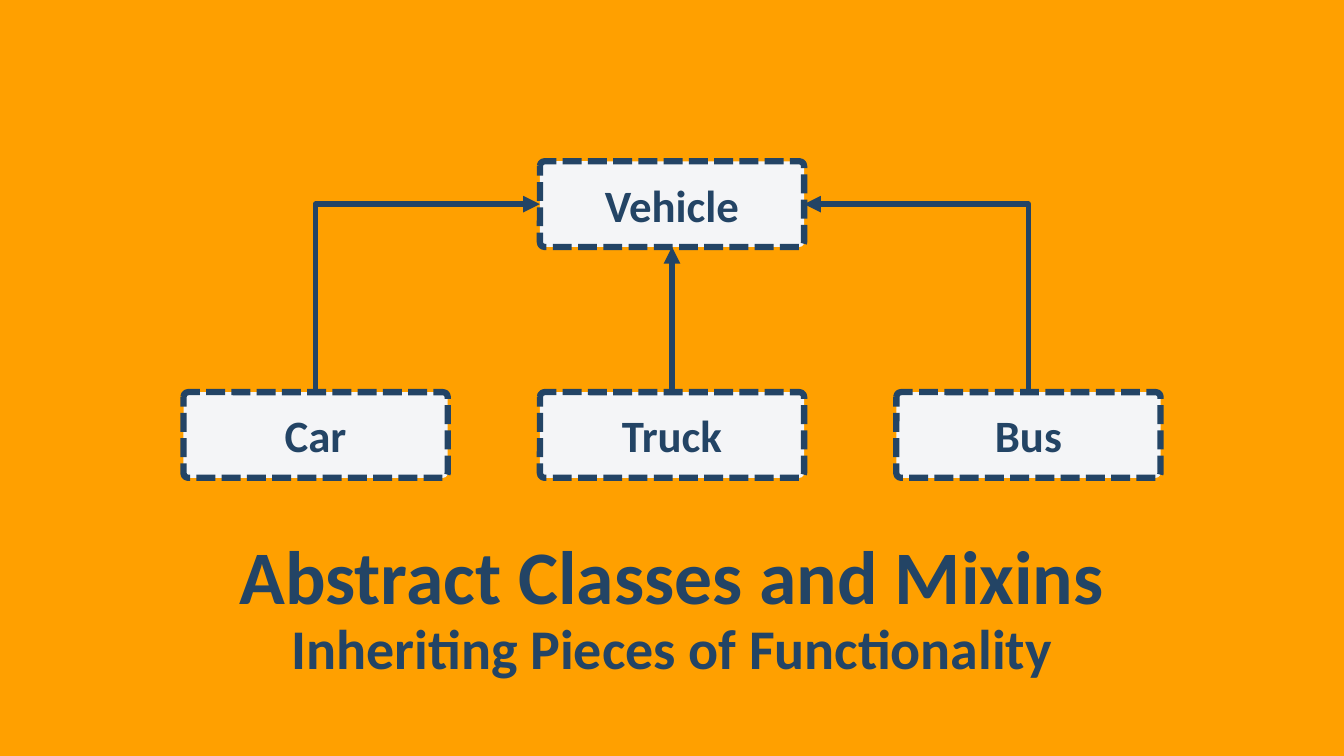
"""Build a title slide showing three classes that inherit from Vehicle."""
from dataclasses import dataclass

import pptx
import pptx.dml.color
import pptx.enum.dml
import pptx.enum.shapes
import pptx.enum.text
import pptx.oxml
import pptx.oxml.ns
import pptx.util
from lxml import etree

Inches = pptx.util.Inches
Pt = pptx.util.Pt


@dataclass(frozen=True)
class Theme:
    background: str = "FFA000"
    ink: str = "234465"
    box_fill: str = "F4F5F7"
    font: str = "Calibri"
    title_size: float = 54
    subtitle_size: float = 40
    box_size: float = 32
    box_line: float = 4.5
    arrow_line: float = 4


THEME = Theme()
WIDTH, HEIGHT = 13.33, 7.5

HEADINGS = [
    ("Abstract Classes and Mixins", THEME.title_size, 5.16, 0.84),
    ("Inheriting Pieces of Functionality", THEME.subtitle_size, 6.01, 0.55),
]
PARENT = "Vehicle"
TOP, LEFT, BOTTOM, RIGHT = range(4)
CHILDREN = [("Car", LEFT), ("Truck", BOTTOM), ("Bus", RIGHT)]

MARGIN = 0.67
BOX_WIDTH, BOX_HEIGHT = 2.62, 0.85
COLUMN_PITCH = 3.535
ROW_TOPS = (1.6, 3.89)
MIDDLE_COLUMN = 1
CORNER = 0.054


def color(value):
    return pptx.dml.color.RGBColor.from_string(value)


def write(text_frame, text, size):
    text_frame.text = text
    paragraph = text_frame.paragraphs[0]
    paragraph.alignment = pptx.enum.text.PP_ALIGN.CENTER
    font = paragraph.runs[0].font
    font.name, font.size, font.bold = THEME.font, Pt(size), True
    font.color.rgb = color(THEME.ink)
    return paragraph


def add_heading(slide, text, size, top, height):
    box = slide.shapes.add_textbox(
        Inches(MARGIN), Inches(top), Inches(WIDTH - 2 * MARGIN), Inches(height))
    text_frame = box.text_frame
    text_frame.word_wrap = True
    text_frame.margin_left = text_frame.margin_right = Inches(0.12)
    text_frame.margin_top = text_frame.margin_bottom = Inches(0.04)
    paragraph = write(text_frame, text, size)
    paragraph.line_spacing = 1.05
    paragraph.space_before = paragraph.space_after = Pt(6)


def add_class_box(slide, name, column, row):
    center = WIDTH / 2 + (column - MIDDLE_COLUMN) * COLUMN_PITCH
    shape = slide.shapes.add_shape(
        pptx.enum.shapes.MSO_SHAPE.ROUNDED_RECTANGLE,
        Inches(center - BOX_WIDTH / 2), Inches(ROW_TOPS[row]),
        Inches(BOX_WIDTH), Inches(BOX_HEIGHT))
    shape.adjustments[0] = CORNER
    shape.shadow.inherit = False
    shape.fill.solid()
    shape.fill.fore_color.rgb = color(THEME.box_fill)
    shape.line.color.rgb = color(THEME.ink)
    shape.line.width = Pt(THEME.box_line)
    shape.line.dash_style = pptx.enum.dml.MSO_LINE.SQUARE_DOT
    shape.text_frame.vertical_anchor = pptx.enum.text.MSO_ANCHOR.MIDDLE
    write(shape.text_frame, name, THEME.box_size)
    return shape


def add_inheritance(slide, parent, child, side):
    kinds = pptx.enum.shapes.MSO_CONNECTOR
    kind = kinds.STRAIGHT if side == BOTTOM else kinds.ELBOW
    connector = slide.shapes.add_connector(kind, 0, 0, 0, 0)
    connector.begin_connect(parent, side)
    connector.end_connect(child, TOP)
    connector.line.color.rgb = color(THEME.ink)
    connector.line.width = Pt(THEME.arrow_line)
    qualified = pptx.oxml.ns.qn
    properties = connector._element.spPr
    if kind == kinds.ELBOW:
        properties.find(qualified("a:prstGeom")).set("prst", "bentConnector2")
    outline = properties.find(qualified("a:ln"))
    etree.SubElement(outline, qualified("a:headEnd"), type="triangle")
    etree.SubElement(properties, qualified("a:effectLst"))


def main():
    presentation = pptx.Presentation()
    presentation.slide_width = Inches(WIDTH)
    presentation.slide_height = Inches(HEIGHT)
    slide = presentation.slides.add_slide(presentation.slide_layouts[6])
    slide.background.fill.solid()
    slide.background.fill.fore_color.rgb = color(THEME.background)

    for heading in HEADINGS:
        add_heading(slide, *heading)
    parent = add_class_box(slide, PARENT, MIDDLE_COLUMN, 0)
    boxes = [add_class_box(slide, name, column, 1)
             for column, (name, _) in enumerate(CHILDREN)]
    for box, (_, side) in zip(boxes, CHILDREN):
        add_inheritance(slide, parent, box, side)
    presentation.save("out.pptx")


if __name__ == "__main__":
    main()
